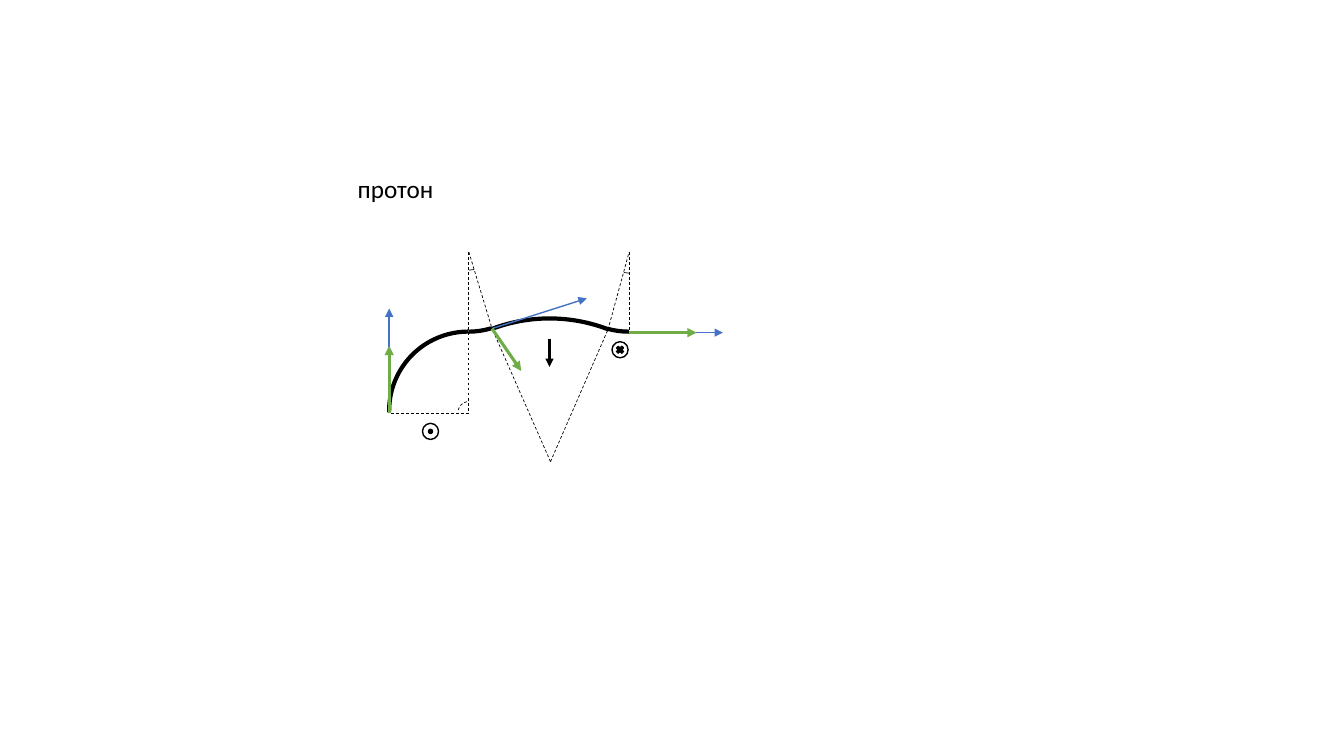
import pptx
import pptx.util
import pptx.dml.color
import pptx.enum.dml
import pptx.enum.shapes
import pptx.enum.text
import pptx.oxml

Inches = pptx.util.Inches
Pt = pptx.util.Pt
SHAPE = pptx.enum.shapes.MSO_SHAPE
BLACK = pptx.dml.color.RGBColor(0x00, 0x00, 0x00)
WHITE = pptx.dml.color.RGBColor(0xFF, 0xFF, 0xFF)
BLUE = pptx.dml.color.RGBColor(0x44, 0x72, 0xC4)
GREEN = pptx.dml.color.RGBColor(0x70, 0xAD, 0x47)
DEGREE = 0.6

ENTRY = (3.86, 4.1)
FIRST_CENTRE = (4.65, 4.1)
FIRST_EXIT = (4.65, 3.3)
LEFT_APEX = (4.65, 2.5)
LEFT_JOINT = (4.88, 3.26)
LOWER_APEX = (5.46, 4.58)
RIGHT_JOINT = (6.03, 3.27)
RIGHT_APEX = (6.24, 2.5)
EXIT = (6.24, 3.3)


def style_line(line, color, width, dashed=False):
    line.color.rgb = color
    line.width = Pt(width)
    if dashed:
        line.dash_style = pptx.enum.dml.MSO_LINE.DASH


def add_line(slide, start, end, color=BLACK, width=0.5, dashed=False):
    segment = slide.shapes.add_connector(
        pptx.enum.shapes.MSO_CONNECTOR.STRAIGHT,
        *(Inches(value) for value in (*start, *end)))
    style_line(segment.line, color, width, dashed)
    segment._element.spPr.append(pptx.oxml.parse_xml(
        '<a:effectLst xmlns:a="http://schemas.openxmlformats.org/drawingml/2006/main"/>'))
    return segment


def add_arrow(slide, start, end, color, width):
    arrow = add_line(slide, start, end, color, width)
    arrow.line._get_or_add_ln().append(pptx.oxml.parse_xml(
        '<a:tailEnd xmlns:a="http://schemas.openxmlformats.org/drawingml/2006/main"'
        ' type="triangle"/>'))


def add_figure(slide, kind, box, fill=None, width=1, dashed=False):
    figure = slide.shapes.add_shape(kind, *(Inches(value) for value in box))
    figure.shadow.inherit = False
    if fill is None:
        figure.fill.background()
    else:
        figure.fill.solid()
        figure.fill.fore_color.rgb = fill
    style_line(figure.line, BLACK, width, dashed)
    return figure


def add_arc(slide, box, start, end, width, rotation=0, dashed=False):
    arc = add_figure(slide, SHAPE.ARC, box, width=width, dashed=dashed)
    arc.adjustments[0] = start * DEGREE
    arc.adjustments[1] = end * DEGREE
    arc.rotation = rotation


def add_field_symbol(slide, centre, mark, mark_size):
    for kind, size, fill in ((SHAPE.OVAL, 0.16, WHITE), (mark, mark_size, BLACK)):
        left, top = (value - size / 2 for value in centre)
        add_figure(slide, kind, (left, top, size, size), fill)


def add_text(slide, text, box, size=18, font="Calibri", color=BLACK):
    frame = slide.shapes.add_textbox(*(Inches(value) for value in box)).text_frame
    frame.word_wrap = False
    frame.auto_size = pptx.enum.text.MSO_AUTO_SIZE.SHAPE_TO_FIT_TEXT
    run = frame.paragraphs[0].add_run()
    run.text = text
    run.font.size = Pt(size)
    run.font.name = font
    run.font.color.rgb = color


def add_trajectory(slide):
    for box, start, end, rotation in (
            ((3.86, 3.29, 1.57, 1.57), 178.86, 269.92, 0),
            ((3.93, 3.16, 3.04, 2.83), 246.19, 294.21, 0),
            ((3.86, 1.72, 1.57, 1.57), 253.25, 270.03, 180),
            ((5.45, 1.72, 1.57, 1.57), 269.83, 285.76, 180)):
        add_arc(slide, box, start, end, 3, rotation)


def add_radii(slide):
    for start, end in (
            (FIRST_EXIT, FIRST_CENTRE), (FIRST_CENTRE, ENTRY),
            (LEFT_APEX, FIRST_EXIT), (LEFT_APEX, LEFT_JOINT),
            (LOWER_APEX, LEFT_JOINT), (LOWER_APEX, RIGHT_JOINT),
            (RIGHT_JOINT, RIGHT_APEX), (RIGHT_APEX, EXIT)):
        add_line(slide, start, end, dashed=True)


def add_angle_marks(slide):
    add_arc(slide, (4.54, 3.98, 0.24, 0.24), 195.02, 265.17, 0.5, dashed=True)
    add_arc(slide, (4.44, 2.29, 0.42, 0.39), 254.72, 269.06, 0.5, 180)
    add_arc(slide, (6.03, 2.32, 0.42, 0.39), 270.48, 285.55, 0.5, 180)


def add_vectors(slide):
    for start, momentum_end, spin_end in (
            (ENTRY, (3.86, 3.06), (3.86, 3.43)),
            (LEFT_JOINT, (5.82, 2.96), (5.17, 3.68)),
            (EXIT, (7.17, 3.3), (6.91, 3.3))):
        add_arrow(slide, start, momentum_end, BLUE, 1)
        add_arrow(slide, start, spin_end, GREEN, 2.25)


def main():
    deck = pptx.Presentation()
    deck.slide_width = Inches(13.33)
    deck.slide_height = Inches(7.5)
    slide = deck.slides.add_slide(deck.slide_layouts[6])
    add_trajectory(slide)
    add_radii(slide)
    add_angle_marks(slide)
    add_vectors(slide)
    add_field_symbol(slide, (4.27, 4.28), SHAPE.OVAL, 0.04)
    add_arrow(slide, (5.45, 3.36), (5.45, 3.64), BLACK, 1.5)
    add_field_symbol(slide, (6.15, 3.47), SHAPE.MATH_MULTIPLY, 0.1)
    add_text(slide, "протон", (3.45, 1.67, 0.96, 0.4))
    deck.save("out.pptx")


if __name__ == "__main__":
    main()
